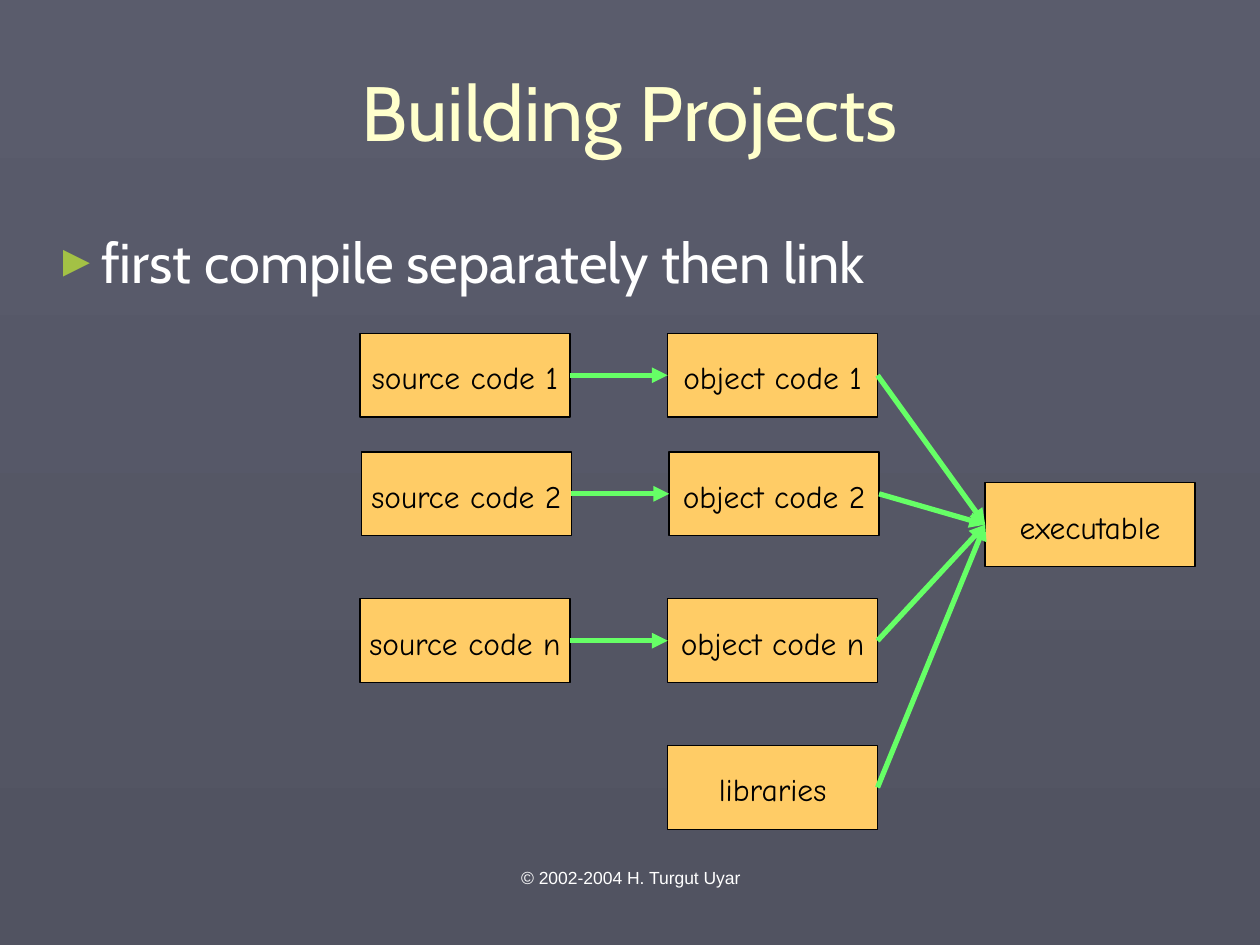
"""Build a slide on compiling sources separately and linking them."""
import dataclasses
import typing

import lxml.etree
import pptx
import pptx.dml.color
import pptx.enum.shapes
import pptx.enum.text
import pptx.oxml.ns
import pptx.util

Cm = pptx.util.Cm
Pt = pptx.util.Pt
ALIGN = pptx.enum.text.PP_ALIGN
ANCHOR = pptx.enum.text.MSO_ANCHOR

BOX_WIDTH, BOX_HEIGHT = 4.23, 1.69
SOURCE_LEFT, OBJECT_LEFT, EXECUTABLE_LEFT = 7.26, 13.46, 19.86
RIGHT_SITE, LEFT_SITE = 3, 1


@dataclasses.dataclass(frozen=True)
class Stage:
    label: str
    left: float
    top: float


@dataclasses.dataclass(frozen=True)
class Unit:
    suffix: str
    top: float
    shift: float = 0


UNITS = [Unit("1", 6.72), Unit("2", 9.11, 0.03), Unit("n", 12.07)]
LIBRARIES = Stage("libraries", OBJECT_LEFT, 15.03)
EXECUTABLE = Stage("executable", EXECUTABLE_LEFT, 9.73)


def color(value: str) -> pptx.dml.color.RGBColor:
    return pptx.dml.color.RGBColor.from_string(value)


def add_element(parent: typing.Any, tag: str, **attributes: str) -> typing.Any:
    return lxml.etree.SubElement(parent, pptx.oxml.ns.qn(tag), attributes)


def place(shape: typing.Any, left: float, top: float, width: float, height: float) -> None:
    shape.left, shape.top = Cm(left), Cm(top)
    shape.width, shape.height = Cm(width), Cm(height)


def write(shape: typing.Any, text: str, *, size: float, font: str, fill: str,
          align: ALIGN = ALIGN.CENTER, anchor: ANCHOR = ANCHOR.MIDDLE,
          wrap: bool = True, spacing: float = 1.0) -> typing.Any:
    frame = shape.text_frame
    frame.word_wrap = wrap
    frame.auto_size = pptx.enum.text.MSO_AUTO_SIZE.NONE
    frame.vertical_anchor = anchor
    para = frame.paragraphs[0]
    para.alignment = align
    para.line_spacing = spacing
    para.space_before = Pt(0)
    span = para.add_run()
    span.text = text
    span.font.size = Pt(size)
    span.font.name = font
    span.font.color.rgb = color(fill)
    return para


def add_bullet(para: typing.Any, symbol: str, fill: str, percent: int, indent: float) -> None:
    properties = para._p.get_or_add_pPr()
    properties.set("marL", str(Cm(indent)))
    properties.set("indent", str(-Cm(indent)))
    add_element(add_element(properties, "a:buClr"), "a:srgbClr", val=fill)
    add_element(properties, "a:buSzPct", val=str(percent * 1000))
    add_element(properties, "a:buChar", char=symbol)


def add_stage(page: typing.Any, stage: Stage) -> typing.Any:
    box = page.shapes.add_shape(
        pptx.enum.shapes.MSO_SHAPE.RECTANGLE,
        Cm(stage.left), Cm(stage.top), Cm(BOX_WIDTH), Cm(BOX_HEIGHT))
    box.shadow.inherit = False
    box.fill.solid()
    box.fill.fore_color.rgb = color("FFCC66")
    box.line.color.rgb = color("000000")
    box.line.width = Pt(0.75)
    write(box, stage.label, size=18, font="Comic Neue", fill="000000",
          wrap=False, spacing=1.1)
    return box


def add_arrow(page: typing.Any, start: typing.Any, end: typing.Any) -> None:
    arrow = page.shapes.add_connector(
        pptx.enum.shapes.MSO_CONNECTOR.STRAIGHT, 0, 0, 0, 0)
    arrow.begin_connect(start, RIGHT_SITE)
    arrow.end_connect(end, LEFT_SITE)
    arrow.line.color.rgb = color("66FF66")
    arrow.line.width = Pt(3)
    add_element(arrow.line._get_or_add_ln(), "a:tailEnd", type="triangle")
    add_element(arrow._element.spPr, "a:effectLst")


def paint_background(page: typing.Any, top: str, bottom: str) -> None:
    fill = page.background.fill
    fill.gradient()
    fill.gradient_angle = 270
    for stop, position, value in zip(fill.gradient_stops, (0, 1), (top, bottom)):
        stop.position = position
        stop.color.rgb = color(value)


def main() -> None:
    deck = pptx.Presentation()
    deck.slide_width, deck.slide_height = Cm(25.4), Cm(19.05)
    page = deck.slides.add_slide(deck.slide_layouts[1])
    paint_background(page, "5A5C6C", "515361")

    title, body = page.placeholders
    place(title, 0.84, 0.64, 23.72, 3.18)
    write(title, "Building Projects", size=44, font="Cabin", fill="FFFFCC")
    place(body, 0.84, 4.45, 23.72, 12.5)
    para = write(body, "first compile separately then link", size=32, font="Cabin",
                 fill="FFFFFF", align=ALIGN.LEFT, anchor=ANCHOR.TOP)
    add_bullet(para, "►", "A3C145", 80, 0.95)

    executable = add_stage(page, EXECUTABLE)
    for unit in UNITS:
        source, target = (
            add_stage(page, Stage(f"{kind} code {unit.suffix}", left + unit.shift, unit.top))
            for kind, left in (("source", SOURCE_LEFT), ("object", OBJECT_LEFT)))
        add_arrow(page, source, target)
        add_arrow(page, target, executable)
    add_arrow(page, add_stage(page, LIBRARIES), executable)

    footer = page.shapes.add_textbox(Cm(8.69), Cm(17.35), Cm(8.05), Cm(1.32))
    write(footer, "© 2002-2004 H. Turgut Uyar", size=10, font="Arial",
          fill="FFFFFF", anchor=ANCHOR.TOP)
    deck.save("out.pptx")


if __name__ == "__main__":
    main()
